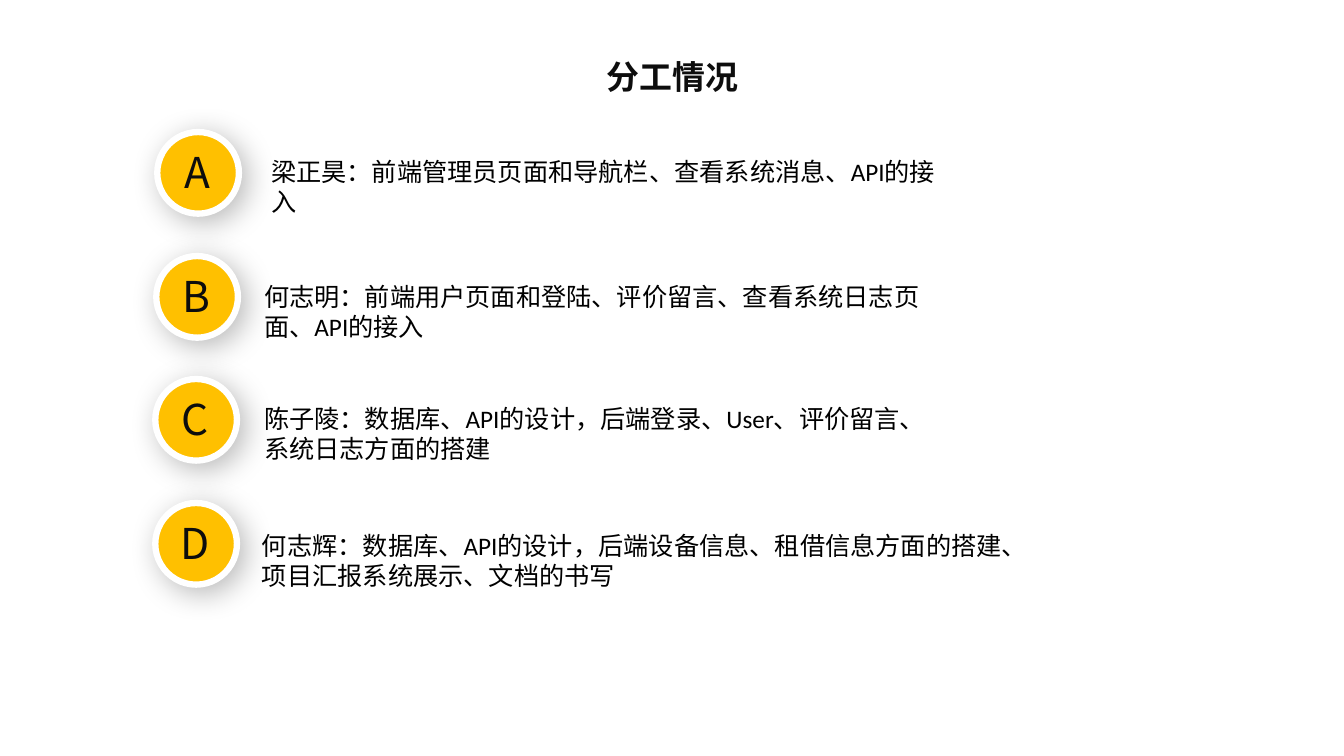
from typing import NamedTuple

from lxml.etree import SubElement
from pptx import Presentation
from pptx.dml.color import RGBColor
from pptx.enum.shapes import MSO_SHAPE
from pptx.enum.text import MSO_ANCHOR, MSO_AUTO_SIZE, PP_ALIGN
from pptx.oxml import parse_xml
from pptx.oxml.ns import nsdecls, qn
from pptx.util import Inches, Pt

SANS = "Noto Sans CJK SC"
INK = "0D0D0D"
SHADOW = f"""<a:effectLst {nsdecls("a")}>
  <a:outerShdw blurRad="{Pt(22)}" dist="{Pt(6)}" dir="2700000" algn="tl" rotWithShape="0">
    <a:srgbClr val="000000"><a:alpha val="28000"/></a:srgbClr>
  </a:outerShdw>
</a:effectLst>"""


class Task(NamedTuple):
    mark: str
    left: float
    top: float
    text_left: float
    text_top: float
    width: float
    text: str


TASKS = [
    Task("A", 1.56, 1.31, 2.59, 1.5, 6.89,
         "梁正昊：前端管理员页面和导航栏、查看系统消息、API的接入"),
    Task("B", 1.55, 2.54, 2.52, 2.74, 6.89,
         "何志明：前端用户页面和登陆、评价留言、查看系统日志页面、API的接入"),
    Task("C", 1.54, 3.76, 2.52, 3.95, 6.89,
         "陈子陵：数据库、API的设计，后端登录、User、评价留言、系统日志方面的搭建"),
    Task("D", 1.54, 4.99, 2.5, 5.21, 7.92,
         "何志辉：数据库、API的设计，后端设备信息、租借信息方面的搭建、项目汇报系统展示、文档的书写"),
]


def color(code: str) -> RGBColor:
    return RGBColor.from_string(code)


def write(shape, text: str, size: float, ink: str, face: str, align=PP_ALIGN.LEFT):
    """Fill the shape with one formatted paragraph and return it."""
    frame = shape.text_frame
    frame.text = text
    frame.auto_size = MSO_AUTO_SIZE.SHAPE_TO_FIT_TEXT
    para = frame.paragraphs[0]
    para.alignment = align
    font = para.font
    font.size, font.name = Pt(size), face
    font.color.rgb = color(ink)
    props = para.runs[0].font
    props.size, props.name = Pt(size), face
    SubElement(para.runs[0]._r.get_or_add_rPr(), qn("a:ea"), typeface=SANS)
    return para


def add_badge(slide, task: Task) -> None:
    group = slide.shapes.add_group_shape()
    disc = group.shapes.add_shape(MSO_SHAPE.OVAL, Inches(task.left), Inches(task.top),
                                  Inches(0.81), Inches(0.81))
    disc.fill.solid()
    disc.fill.fore_color.rgb = color("FFC000")
    disc.line.color.rgb = color("FFFFFF")
    disc.line.width = Pt(4.5)
    disc._element.spPr.append(parse_xml(SHADOW))
    mark = group.shapes.add_textbox(Inches(task.left + 0.15), Inches(task.top + 0.09),
                                    Inches(0.49), Inches(0.61))
    write(mark, task.mark, 30.3, INK, SANS, PP_ALIGN.CENTER)
    mark.text_frame.word_wrap = False
    mark.text_frame.vertical_anchor = MSO_ANCHOR.MIDDLE


def add_text(slide, task: Task) -> None:
    box = slide.shapes.add_textbox(Inches(task.text_left), Inches(task.text_top),
                                   Inches(task.width), Inches(0.71))
    write(box, task.text, 18, "000000", "Calibri")
    box.text_frame.word_wrap = True


def add_title(slide) -> None:
    title = slide.shapes.title
    title.left, title.top = Inches(4.14), Inches(0.32)
    title.width, title.height = Inches(5.06), Inches(0.63)
    para = write(title, "分工情况", 23.5, INK, SANS, PP_ALIGN.CENTER)
    para.font.bold = True
    para.line_spacing = 1.5
    title.text_frame.word_wrap = True
    title.text_frame.vertical_anchor = MSO_ANCHOR.TOP


def main() -> None:
    deck = Presentation()
    deck.slide_width, deck.slide_height = Inches(13.33), Inches(7.5)
    slide = deck.slides.add_slide(deck.slide_layouts[5])
    add_title(slide)
    for task in TASKS:
        add_badge(slide, task)
        add_text(slide, task)
    deck.save("out.pptx")


if __name__ == "__main__":
    main()
